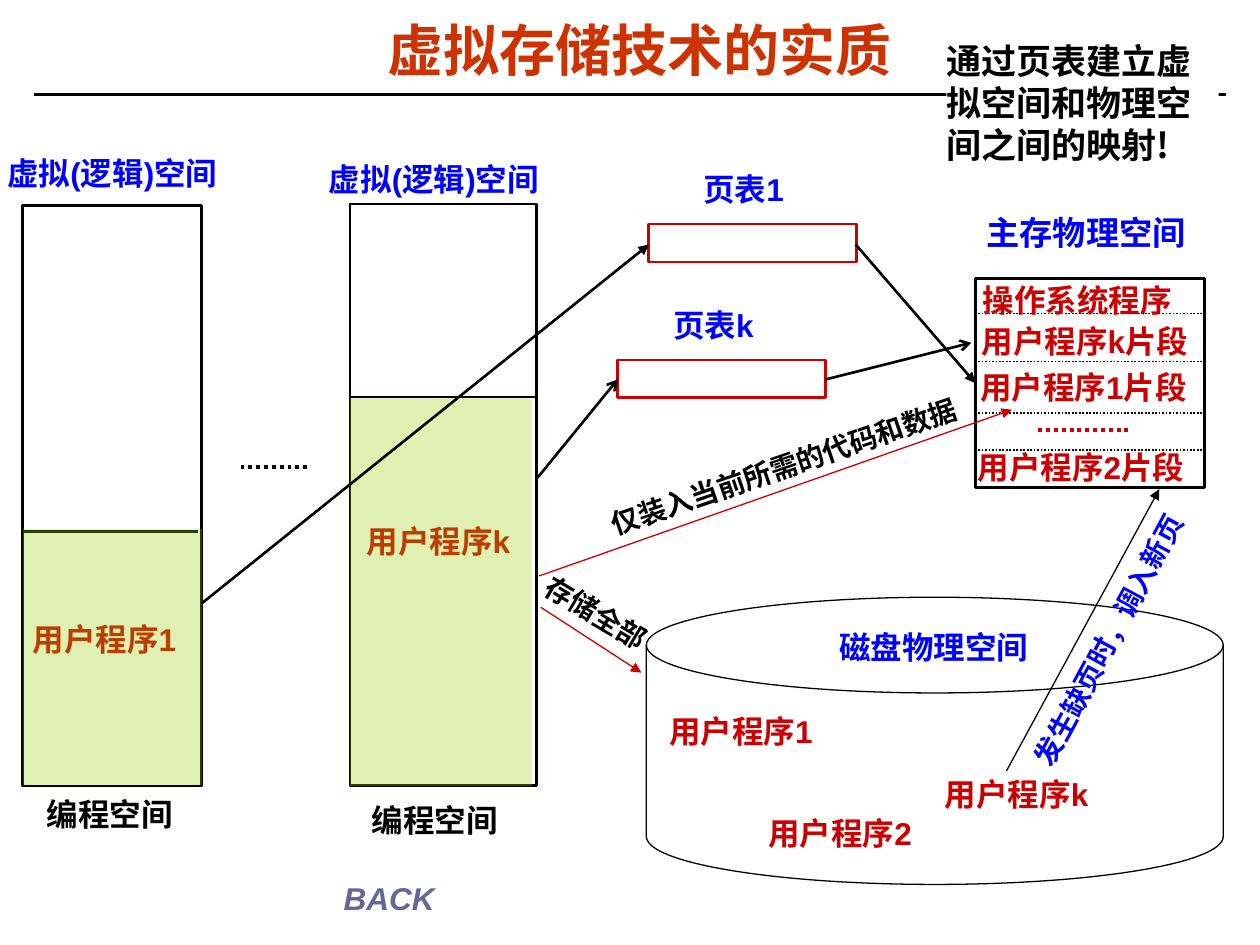
from dataclasses import dataclass

from lxml import etree
from pptx import Presentation
from pptx.dml.color import RGBColor
from pptx.enum import dml, shapes, text
from pptx.oxml import ns
from pptx.util import Cm, Pt


@dataclass(frozen=True)
class Theme:
    latin: str = "Arial"
    cjk: str = "Noto Sans CJK SC"
    black: str = "000000"
    white: str = "FFFFFF"
    title: str = "CC3300"
    red: str = "CC0000"
    blue: str = "0000FF"
    green: str = "99CC00"
    slate: str = "666699"
    title_size: float = 32
    callout_size: float = 20
    heading_size: float = 19
    label_size: float = 18
    note_size: float = 16
    thin: float = 0.75
    dotted: float = 1
    normal: float = 1.5
    thick: float = 2.25


T = Theme()
TITLE = "虚拟存储技术的实质"
CALLOUT = "通过页表建立虚拟空间和物理空间之间的映射!"

# All places are in centimetres: left, top, width, height
RECT, DISK = shapes.MSO_SHAPE.RECTANGLE, shapes.MSO_SHAPE.FLOWCHART_MAGNETIC_DISK
BOXES = [
    (RECT, (7.06, 4.11, 3.76, 11.73), T.black, T.normal),
    (RECT, (0.46, 4.14, 3.61, 11.71), T.black, T.normal),
    (DISK, (13.03, 12.04, 11.63, 5.79), T.black, T.thin),
    (RECT, (19.66, 5.61, 4.62, 4.22), T.black, T.normal),
    (RECT, (13.08, 4.52, 4.19, 0.76), T.red, T.normal),
    (RECT, (12.45, 7.26, 4.19, 0.76), T.red, T.normal),
]
USED_SPACE = [(0.46, 10.67, 3.61, 5.16), (7.06, 8.03, 3.66, 7.82)]

# Horizontal rules: left, right, top, colour, weight, dotted
RULES = [
    (0.69, 24.71, 1.9, T.black, T.normal, False),
    (0.43, 3.99, 10.72, T.black, T.normal, False),
    (7.06, 10.8, 8, T.black, T.normal, False),
    (4.85, 6.2, 9.42, T.black, T.thick, True),
    (20.93, 22.76, 8.66, T.red, T.thick, True),
] + [(19.65, 24.25, y, T.black, T.dotted, True) for y in (6.32, 7.29, 8.33, 9.07)]

# Arrows: start, end, colour, weight, head
ARROWS = [
    ((10.87, 11.61), (20.4, 8.26), T.red, T.thin, "triangle"),
    ((10.9, 12.24), (12.93, 13.56), T.red, T.thin, "triangle"),
    ((20.29, 15.54), (23.37, 9.86), T.black, T.thin, "triangle"),
    ((17.25, 4.93), (19.66, 7.72), T.black, T.normal, "triangle"),
    ((4.06, 12.17), (13.08, 4.93), T.black, T.normal, "triangle"),
    ((16.64, 7.65), (19.58, 6.91), T.black, T.normal, "arrow"),
    ((10.82, 9.65), (12.45, 7.65), T.black, T.normal, "arrow"),
]

# Labels: text, left, top, width, colour
PROGRAMS = [
    ("用户程序1", 0.66, 12.5),
    ("用户程序k", 7.39, 10.52),
    ("用户程序1", 13.49, 14.35),
    ("用户程序k", 19.05, 15.62),
    ("用户程序2", 15.49, 16.41),
]
LABELS = [
    ("编程空间", 7.49, 16.15, 3.12, T.black),
    ("编程空间", 0.94, 16.03, 3.12, T.black),
    ("虚拟(逻辑)空间", 0.15, 3.1, 4.85, T.blue),
    ("虚拟(逻辑)空间", 6.63, 3.23, 4.85, T.blue),
    ("磁盘物理空间", 16.92, 12.67, 3.94, T.blue),
    ("操作系统程序", 19.81, 5.66, 4.6, T.red),
    ("用户程序k片段", 19.79, 6.5, 4.6, T.red),
    ("用户程序1片段", 19.76, 7.42, 4.6, T.red),
    ("用户程序2片段", 19.71, 9.04, 4.6, T.red),
]
PAGE_TABLES = [("页表1", 13.44, 3.43), ("页表k", 12.83, 6.17)]

# Notes along the arrows: text, left, top, width, colour, angle
NOTES = [
    ("仅装入当前所需的代码和数据", 12.14, 9.04, 7.44, T.black, 341.1),
    ("存储全部", 10.87, 12.07, 2.49, T.black, 30.7),
    ("发生缺页时，调入新页", 19.05, 11.76, 7.44, T.blue, 298.2),
]


def rgb(colour):
    return RGBColor.from_string(colour)


def cm(values):
    return [Cm(v) for v in values]


def write(sp, words, size, colour, latin=T.latin, align=text.PP_ALIGN.LEFT, italic=False):
    tf = sp.text_frame
    tf.word_wrap = True
    tf.text = words
    p = tf.paragraphs[0]
    p.alignment = align
    for r in p.runs:
        r.font.name, r.font.size = latin, Pt(size)
        r.font.bold, r.font.italic = True, italic
        r.font.color.rgb = rgb(colour)
        etree.SubElement(r._r.get_or_add_rPr(), ns.qn("a:ea"), typeface=T.cjk)
    return p


def no_insets(tf):
    tf.margin_left = tf.margin_right = tf.margin_top = tf.margin_bottom = 0


def add_label(slide, words, at, size, colour, angle=0, **style):
    sp = slide.shapes.add_textbox(*cm(at))
    no_insets(sp.text_frame)
    write(sp, words, size, colour, **style)
    sp.rotation = angle


def add_box(slide, kind, at, fill, line=None, weight=0):
    sp = slide.shapes.add_shape(kind, *cm(at))
    sp.shadow.inherit = False
    sp.fill.solid()
    sp.fill.fore_color.rgb = rgb(fill)
    if line:
        sp.line.color.rgb = rgb(line)
        sp.line.width = Pt(weight)
    else:
        sp.line.fill.background()
    return sp


def add_line(slide, start, end, colour, weight, dotted=False, head=None):
    sp = slide.shapes.add_connector(shapes.MSO_CONNECTOR.STRAIGHT, *cm(start + end))
    sp.line.color.rgb = rgb(colour)
    sp.line.width = Pt(weight)
    if dotted:
        sp.line.dash_style = dml.MSO_LINE.ROUND_DOT
    if head:
        etree.SubElement(sp.line._get_or_add_ln(), ns.qn("a:tailEnd"), type=head)
    etree.SubElement(sp._element.spPr, ns.qn("a:effectLst"))


def add_title(slide):
    sp = slide.shapes.title
    sp.left, sp.top, sp.width, sp.height = cm((0.66, 0.36, 24.46, 1.47))
    sp.text_frame.vertical_anchor = text.MSO_ANCHOR.MIDDLE
    p = write(sp, TITLE, T.title_size, T.title, align=text.PP_ALIGN.CENTER)
    p.line_spacing = 0.87


def main():
    prs = Presentation()
    prs.slide_width, prs.slide_height = Cm(25.4), Cm(19.05)
    slide = prs.slides.add_slide(prs.slide_layouts[5])
    add_title(slide)

    for kind, at, line, weight in BOXES:
        add_box(slide, kind, at, T.white, line, weight)
    for left, right, y, colour, weight, dotted in RULES:
        add_line(slide, (left, y), (right, y), colour, weight, dotted)
    for words, x, y in PROGRAMS:
        add_label(slide, words, (x, y, 2.97, 1.52), T.label_size, T.red)
    for at in USED_SPACE:
        sp = add_box(slide, RECT, at, T.green)
        tint = sp._element.spPr.find(".//" + ns.qn("a:srgbClr"))
        etree.SubElement(tint, ns.qn("a:alpha"), val="30000")

    sp = add_box(slide, RECT, (19.08, 0.79, 5.49, 2.54), T.white)
    no_insets(sp.text_frame)
    sp.text_frame.vertical_anchor = text.MSO_ANCHOR.TOP
    write(sp, CALLOUT, T.callout_size, T.black, latin=T.cjk)

    for words, x, y, width, colour in LABELS:
        add_label(slide, words, (x, y, width, 0.76), T.label_size, colour)
    for words, x, y in PAGE_TABLES:
        add_label(slide, words, (x, y, 3.1, 0.76), T.label_size, T.blue,
                  align=text.PP_ALIGN.CENTER)
    add_label(slide, "主存物理空间", (19.89, 4.29, 5.5, 0.81), T.heading_size, T.blue)
    add_label(slide, "BACK", (6.93, 17.73, 5.23, 0.76), T.label_size, T.slate, italic=True)
    for start, end, colour, weight, head in ARROWS:
        add_line(slide, start, end, colour, weight, head=head)
    for words, x, y, width, colour, angle in NOTES:
        add_label(slide, words, (x, y, width, 0.69), T.note_size, colour, angle)

    prs.save("out.pptx")


if __name__ == "__main__":
    main()
